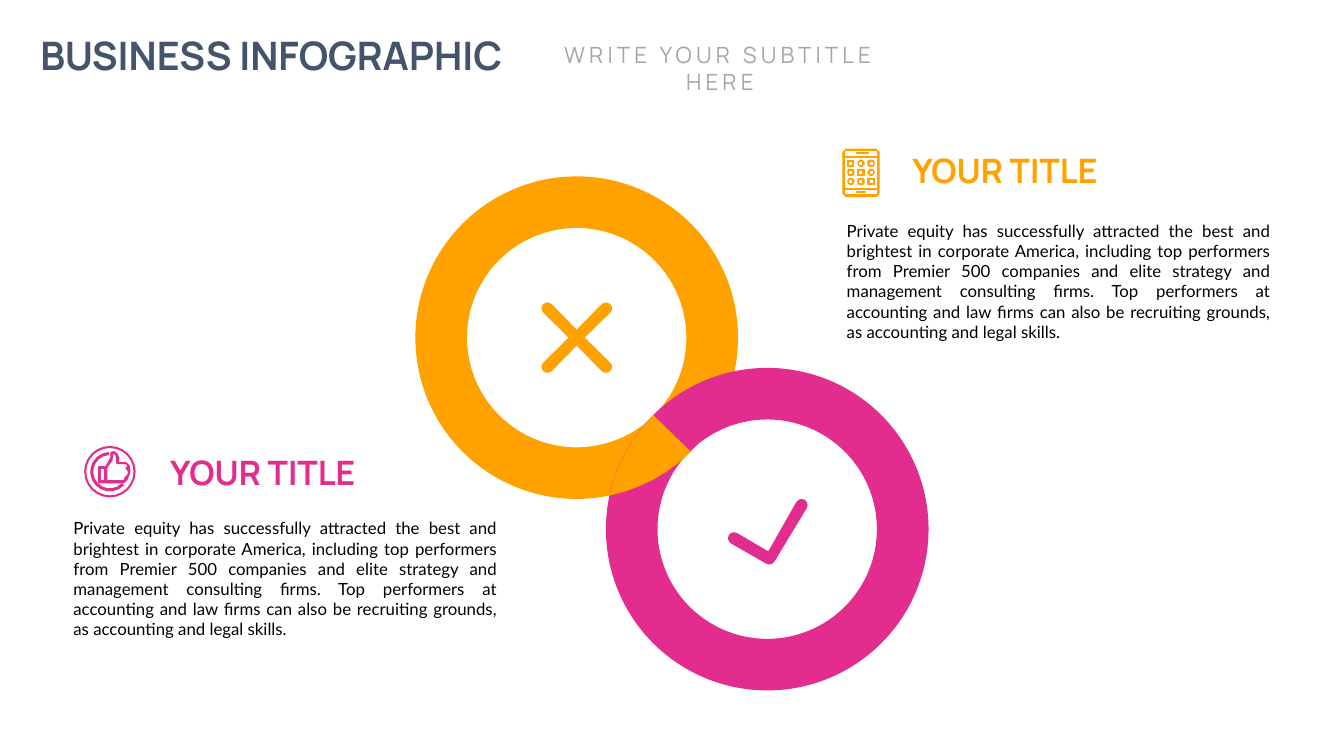
from dataclasses import dataclass
from math import cos, radians, sin

from pptx import Presentation
from pptx.dml.color import RGBColor as Color
from pptx.enum.shapes import MSO_SHAPE as Shape
from pptx.enum.text import MSO_ANCHOR as Anchor, MSO_AUTO_SIZE as Fit, PP_ALIGN as Align
from pptx.util import Inches, Pt


@dataclass(frozen=True)
class Theme:
    navy: str = "44546A"
    gray: str = "A6A6A6"
    black: str = "000000"
    gold: str = "FFA200"
    pink: str = "E32D8E"
    head: str = "Manrope"
    body: str = "Lato"
    title: int = 28
    label: int = 24
    sub: int = 16
    text: int = 12


def write(shape, text, font, size, color, bold=False, align=Align.LEFT,
          anchor=Anchor.TOP, wrap=True, track=0):
    frame = shape.text_frame
    frame.word_wrap = wrap
    frame.auto_size = Fit.SHAPE_TO_FIT_TEXT
    frame.vertical_anchor = anchor
    para = frame.paragraphs[0]
    para.alignment = align
    para.space_before = Pt(0)
    run = para.add_run()
    run.text = text
    run.font.name = font
    run.font.size = Pt(size)
    run.font.bold = bold
    run.font.color.rgb = Color.from_string(color)
    if track:
        run._r.get_or_add_rPr().set("spc", str(track * 100))


def arc(x, y, rad, start, end, steps=6):
    turns = [radians(start + (end - start) * i / steps) for i in range(steps + 1)]
    return [(x + rad * cos(t), y + rad * sin(t)) for t in turns]


def point(x, y, rad, turn):
    return x + rad * cos(radians(turn)), y + rad * sin(radians(turn))


def box(left, top, right, bottom, cut=0):
    if not cut:
        return [(left, top), (right, top), (right, bottom), (left, bottom)]
    mids = [(right - cut, bottom - cut), (left + cut, bottom - cut),
            (left + cut, top + cut), (right - cut, top + cut)]
    return [p for i, (x, y) in enumerate(mids)
            for p in arc(x, y, cut, 90 * i, 90 * i + 90, 1)]


def disc(x, y, rad):
    return arc(x, y, rad, 0, 345, 23)


class Deck:
    def __init__(self, theme):
        self.theme = theme
        self.file = Presentation()
        self.file.slide_width = Inches(13.33)
        self.file.slide_height = Inches(7.5)
        self.slide = self.file.slides.add_slide(self.file.slide_layouts[0])
        self.shapes = self.slide.shapes

    def holder(self, index, at, text, **style):
        shape = self.slide.placeholders[index]
        shape.left, shape.top, shape.width, shape.height = map(Inches, at)
        write(shape, text, self.theme.head, align=Align.CENTER, **style)

    def text(self, at, text, font, size, color, **style):
        write(self.shapes.add_textbox(*map(Inches, at)), text, font, size, color, **style)

    def paint(self, shape, color, line=0):
        shape.shadow.inherit = False
        shape.fill.solid()
        shape.fill.fore_color.rgb = Color.from_string(color)
        if line:
            shape.line.color.rgb = Color.from_string(color)
            shape.line.width = Pt(line)
        else:
            shape.line.fill.background()

    def ring(self, x, y, rad, color):
        at = (x - rad, y - rad, 2 * rad, 2 * rad)
        shape = self.shapes.add_shape(Shape.DONUT, *map(Inches, at))
        shape.adjustments[0] = 0.16
        self.paint(shape, color)

    def free(self, color, *paths, line=0):
        paths = [[(Inches(x), Inches(y)) for x, y in path] for path in paths]
        pen = self.shapes.build_freeform(*paths[0][0])
        for i, path in enumerate(paths):
            if i:
                pen.move_to(*path[0])
            pen.add_line_segments(path[1:], close=True)
        self.paint(pen.convert_to_shape(), color, line)

    def cross(self, x, y, color):
        path = []
        for turn in range(45, 405, 90):
            path += arc(*point(x, y, 0.41, turn), 0.06, turn - 90, turn + 90)
            path.append(point(x, y, 0.08, turn + 45))
        self.free(color, path)

    def check(self, color):
        self.free(color, arc(7.28, 5.34, 0.06, 120, 300) + [(7.62, 5.47)]
                  + arc(7.95, 5.01, 0.06, 210, 390) + arc(7.63, 5.54, 0.06, 30, 120, 3))

    def thumb(self, x, y, color):
        hand = [(1.13, 4.48), (1.16, 4.5), (1.18, 4.54), (1.17, 4.59), (1.25, 4.59),
                (1.28, 4.62), (1.29, 4.67), (1.28, 4.71), (1.26, 4.76), (1.23, 4.79),
                (0.98, 4.79), (0.98, 4.63), (1.05, 4.63), (1.1, 4.54), (1.1, 4.49)]
        palm = [(1.13, 4.5), (1.15, 4.51), (1.16, 4.6), (1.25, 4.6), (1.27, 4.62),
                (1.25, 4.65), (1.27, 4.67), (1.27, 4.71), (1.24, 4.74), (1.23, 4.77),
                (1.06, 4.77), (1.06, 4.64), (1.11, 4.57), (1.12, 4.5)]
        self.free(color, disc(x, y, 0.25), disc(x, y, 0.24),
                  arc(x, y, 0.19, 45, 265, 12) + arc(x, y, 0.17, 265, 45, 12),
                  hand, palm, box(1, 4.65, 1.04, 4.77), line=0.75)

    def phone(self, color):
        paths = [box(8.36, 1.48, 8.72, 1.95, 0.03), box(8.38, 1.49, 8.7, 1.55),
                 box(8.38, 1.56, 8.7, 1.87), box(8.38, 1.88, 8.7, 1.93),
                 box(8.5, 1.51, 8.61, 1.52), box(8.5, 1.9, 8.58, 1.91)]
        for row in range(3):
            for col in range(3):
                x, y = 8.44 + 0.1 * col, 1.62 + 0.09 * row
                cut = (0, 0.02, 0.01)[(col - row) % 3]
                paths.append(box(x - 0.03, y - 0.03, x + 0.03, y + 0.03, cut))
                paths.append(box(x - 0.02, y - 0.02, x + 0.02, y + 0.02))
        self.free(color, *paths, line=0.75)


def main():
    theme = Theme()
    deck = Deck(theme)
    deck.holder(0, (0.24, 0.26, 4.9, 0.57), "BUSINESS INFOGRAPHIC",
                size=theme.title, color=theme.navy, bold=True, wrap=False)
    deck.holder(1, (5.13, 0.36, 4.02, 0.37), "WRITE YOUR SUBTITLE HERE",
                size=theme.sub, color=theme.gray, track=3)

    rad = 1.6
    gold, pink = (5.72, 3.35), (7.61, 5.25)
    deck.ring(*gold, rad, theme.gold)
    deck.ring(*pink, rad, theme.pink)
    deck.free(theme.gold, arc(*gold, rad, 78, 45) + arc(*pink, rad, 225, 193))
    deck.cross(*gold, theme.gold)
    deck.check(theme.pink)
    deck.thumb(1.09, 4.68, theme.pink)
    deck.phone(theme.gold)

    words = ("Private equity has successfully attracted the best and brightest in "
             "corporate America, including top performers from Premier 500 companies "
             "and elite strategy and management consulting firms. Top performers at "
             "accounting and law firms can also be recruiting grounds, as accounting "
             "and legal skills.")
    for left, top, color, side, drop, anchor in (
            (1.59, 4.43, theme.pink, 0.63, 5.08, Anchor.BOTTOM),
            (8.95, 1.44, theme.gold, 8.3, 2.14, Anchor.TOP)):
        deck.text((left, top, 2.06, 0.5), "YOUR TITLE", theme.head, theme.label, color,
                  bold=True, anchor=Anchor.BOTTOM, wrap=False)
        deck.text((side, drop, 4.4, 1.31), words, theme.body, theme.text, theme.black,
                  align=Align.JUSTIFY, anchor=anchor)
    deck.file.save("out.pptx")


if __name__ == "__main__":
    main()
